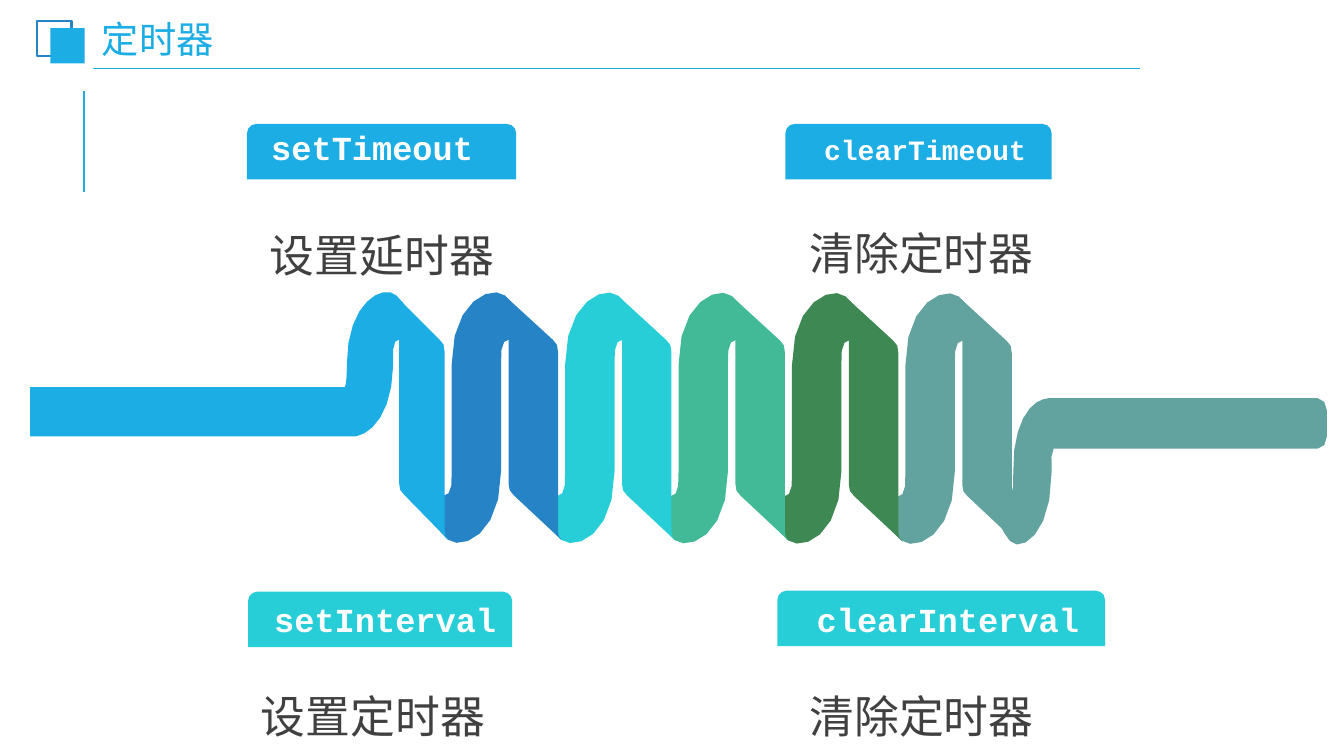
import math

from lxml import etree
from pptx import Presentation
from pptx import util as u
from pptx.dml.color import RGBColor
from pptx.enum import shapes, text
from pptx.oxml import ns

PX = 9144  # EMU in one px, 100 px to the inch
BLUE = RGBColor(0x1C, 0xAD, 0xE4)
DEEP_BLUE = RGBColor(0x26, 0x83, 0xC6)
CYAN = RGBColor(0x27, 0xCE, 0xD7)
MINT = RGBColor(0x42, 0xBA, 0x97)
GREEN = RGBColor(0x3E, 0x88, 0x53)
GREY_TEAL = RGBColor(0x62, 0xA3, 0x9F)
CHARCOAL = RGBColor(0x40, 0x40, 0x40)
WHITE = RGBColor(0xFF, 0xFF, 0xFF)

prs = Presentation()
prs.slide_width, prs.slide_height = 1333 * PX, 750 * PX
slide = prs.slides.add_slide(prs.slide_layouts[5])


def add_ribbon(path, color, dx=0, dy=0):
    """Draw a closed outline: 2 numbers are a line, 6 a Bézier curve."""
    points = [path[0]]
    for step in path[1:]:
        if len(step) == 2:
            points.append(step)
            continue
        (x0, y0), (x1, y1, x2, y2, x3, y3) = points[-1], step
        pieces = min(6, math.ceil(math.dist((x0, y0), (x3, y3)) / 12))
        for i in range(1, pieces + 1):
            t = i / pieces
            s = 1 - t
            a, b, c, d = s**3, 3 * s * s * t, 3 * s * t * t, t**3
            points.append((a * x0 + b * x1 + c * x2 + d * x3,
                           a * y0 + b * y1 + c * y2 + d * y3))
    emu = [(round((x + dx) * PX), round((y + dy) * PX)) for x, y in points]
    builder = slide.shapes.build_freeform(*emu[0], scale=1.0)
    builder.add_line_segments(emu[1:], close=True)
    ribbon = builder.convert_to_shape()
    ribbon.shadow.inherit = False
    ribbon.fill.solid()
    ribbon.fill.fore_color.rgb = color
    ribbon.line.fill.background()


def add_text(words, box, font_name, size, color):
    """Add a one-line text box and return it."""
    caption = slide.shapes.add_textbox(*[n * PX for n in box])
    frame = caption.text_frame
    frame.word_wrap = True
    frame.auto_size = text.MSO_AUTO_SIZE.SHAPE_TO_FIT_TEXT
    frame.text = words
    font = frame.paragraphs[0].runs[0].font
    font.name, font.size, font.color.rgb = font_name, u.Pt(size), color
    return caption


# Heading with its rules and icon
for ends, weight in [((83, 190, 83, 90), 1.5), ((92, 68, 1131, 68), 1.25)]:
    rule = slide.shapes.add_connector(
        shapes.MSO_CONNECTOR.STRAIGHT, *[n * PX for n in ends])
    rule.line.color.rgb = BLUE
    rule.line.width = u.Pt(weight)
    etree.SubElement(rule._element.spPr, ns.qn("a:effectLst"))

for left, top, filled in [(37, 21, False), (50, 28, True)]:
    square = slide.shapes.add_shape(
        shapes.MSO_SHAPE.RECTANGLE, left * PX, top * PX, 34 * PX, 35 * PX)
    square.shadow.inherit = False
    if filled:
        square.fill.solid()
        square.fill.fore_color.rgb = BLUE
        square.line.fill.background()
    else:
        square.fill.background()
        square.line.color.rgb = DEEP_BLUE
        square.line.width = u.Pt(1.5)

title = slide.shapes.title
title.left, title.top, title.width, title.height = [
    n * PX for n in (94, 23, 393, 37)]
heading = title.text_frame
heading.text = "定时器"
heading.auto_size = text.MSO_AUTO_SIZE.NONE
heading.vertical_anchor = text.MSO_ANCHOR.MIDDLE
heading.margin_left = heading.margin_right = 7 * PX
heading.margin_top = heading.margin_bottom = 4 * PX
heading.paragraphs[0].alignment = text.PP_ALIGN.LEFT
heading.paragraphs[0].line_spacing = 0.9
heading_font = heading.paragraphs[0].runs[0].font
heading_font.name, heading_font.size = "Cabin", u.Pt(26.6)
heading_font.color.rgb = BLUE

# Coiled ribbon, from the right end back to the left end
TAIL = [(1040, 395), (1307, 395), (1312, 395, 1316, 401, 1316, 407),
        (1316, 433), (1316, 440, 1312, 445, 1307, 445), (1045, 445),
        (1042, 448, 1043, 456, 1043, 468), (1043, 532, 1012, 548, 1002, 537),
        (995, 529, 985, 511, 987, 501), (988, 495, 995, 499, 1003, 490),
        (1005, 488, 1005, 480, 1005, 468), (1004, 420, 1022, 399, 1035, 396)]
LEAD = [(380, 290), (385, 289, 390, 290, 393, 293),
        (401, 300, 413, 319, 411, 328), (409, 335, 400, 330, 392, 339),
        (389, 342, 390, 350, 390, 362), (389, 410, 369, 430, 353, 433),
        (30, 433), (30, 384), (342, 384), (343, 381),
        (344, 377, 344, 370, 344, 362), (344, 314, 365, 293, 380, 290)]
BEND = [(497, 467), (497, 361), (497, 350, 497, 342, 500, 339),
        (509, 330, 518, 335, 520, 328), (523, 319, 509, 300, 501, 293),
        (488, 282, 448, 297, 448, 361), (448, 467),
        (448, 479, 448, 486, 445, 489), (436, 498, 427, 494, 425, 500),
        (422, 509, 436, 528, 444, 535), (458, 546, 497, 531, 497, 467)]
COIL_PITCH = 112.5
coils = [BLUE, DEEP_BLUE, CYAN, MINT, GREEN, GREY_TEAL]

add_ribbon(TAIL, GREY_TEAL)
for i, color in reversed(list(enumerate(coils))):
    drop = 0.25 * i
    if i == 0:
        add_ribbon(LEAD, color)
    else:
        add_ribbon(BEND, color, (i - 1) * COIL_PITCH, drop)
    right = 441 + i * COIL_PITCH
    left = right - (49 if i else 45)
    fold = [(right, 527), (right, 349), (right - 1, 342), (right - 5, 337),
            (left - 4, 293), (left - 1, 297), (left, 302),
            (left, 480), (left + 1, 486), (left + 5, 491),
            (right + 4, 536), (right + 1, 532)]
    add_ribbon(fold, color, dy=drop)

# Method tabs: name, size, tab box, colour, text box, indent, alignment
CENTER, LEFT = text.PP_ALIGN.CENTER, text.PP_ALIGN.LEFT
methods = [
    ("setTimeout", 24, (245, 123, 267, 55), BLUE, (230, 121, 267, 50), 11, CENTER),
    ("setInterval", 24, (246, 587, 262, 55), CYAN, (243, 589, 280, 50), 19, LEFT),
    ("clearTimeout", 20, (779, 123, 264, 55), BLUE, (769, 127, 264, 44), 33, CENTER),
    ("clearInterval", 24, (771, 586, 325, 55), CYAN, (781, 589, 348, 50), 19, LEFT),
]
for name, size, tab_box, color, name_box, indent, alignment in methods:
    tab = slide.shapes.add_shape(
        shapes.MSO_SHAPE.ROUND_2_SAME_RECTANGLE, *[n * PX for n in tab_box])
    tab.shadow.inherit = False
    tab.fill.solid()
    tab.fill.fore_color.rgb = color
    tab.line.fill.background()
    label = add_text(name, name_box, "Courier New", size, WHITE).text_frame
    label.margin_left = (10 + indent) * PX
    label.paragraphs[0].alignment = alignment
    label.paragraphs[0].runs[0].font.bold = True

for meaning, left, top in [("设置延时器", 248, 205), ("清除定时器", 783, 203),
                           ("设置定时器", 239, 662), ("清除定时器", 783, 662)]:
    note = add_text(meaning, (left, top, 262, 75), "Cabin", 32, CHARCOAL)
    note.text_frame.paragraphs[0].alignment = CENTER
    note.text_frame.paragraphs[0].line_spacing = 1.3

prs.save("out.pptx")
